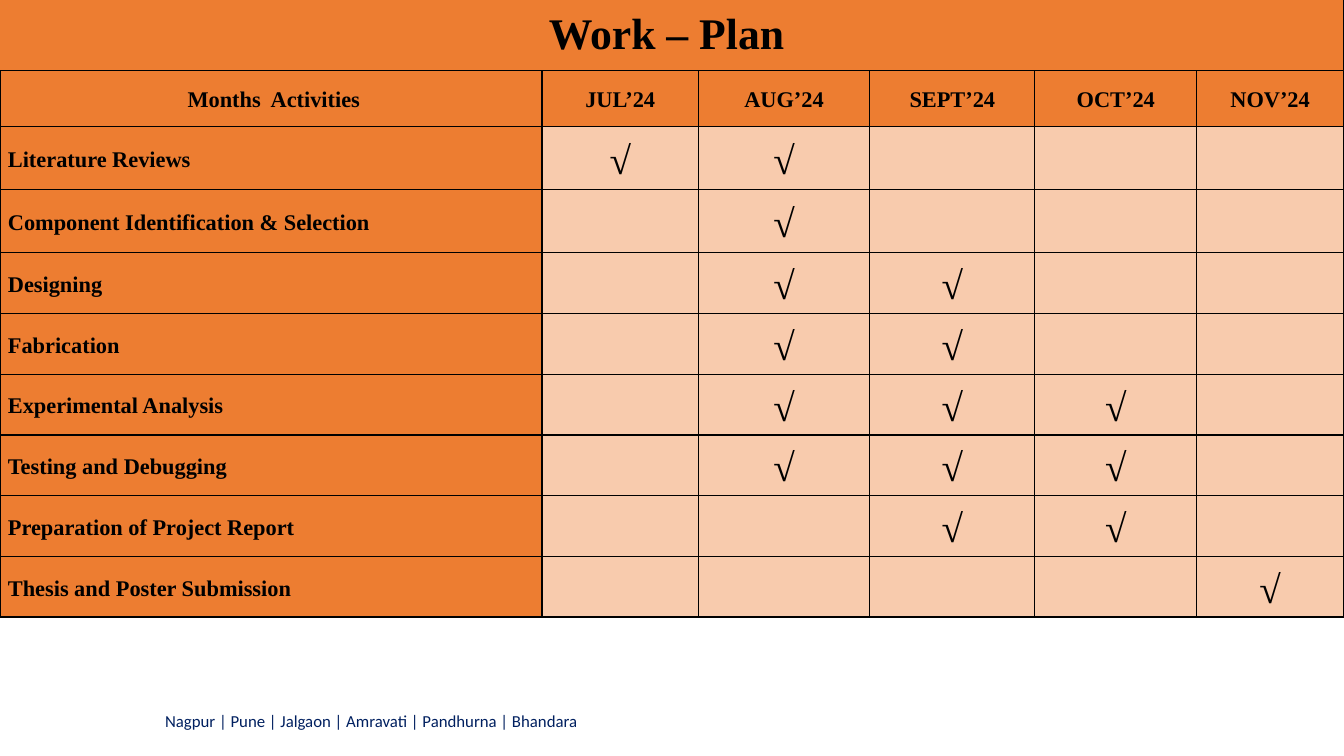
from lxml.etree import SubElement
from pptx import Presentation
from pptx.dml.color import RGBColor
from pptx.enum.shapes import MSO_SHAPE
from pptx.enum.text import MSO_ANCHOR, PP_ALIGN
from pptx.oxml.ns import qn
from pptx.util import Cm, Pt

TITLE = "Work – Plan "
FOOTER = "Nagpur | Pune | Jalgaon | Amravati | Pandhurna | Bhandara "
HEADER = [" Months  Activities", "JUL’24", "AUG’24", "SEPT’24", "OCT’24", "NOV’24"]
TICK = "√"
ACTIVITIES = [
    ("Literature Reviews", (1, 2)),
    ("Component Identification & Selection", (2,)),
    ("Designing", (2, 3)),
    ("Fabrication", (2, 3)),
    ("Experimental Analysis", (2, 3, 4)),
    ("Testing and Debugging", (2, 3, 4)),
    ("Preparation of Project Report", (3, 4)),
    ("Thesis and Poster Submission", (5,)),
]
COLORS = {"orange": "ED7D31", "peach": "F8CBAD", "black": "000000", "navy": "002060"}
SERIF, SANS = "Times New Roman", "Calibri"
COL_WIDTHS = [13.66, 3.94, 4.32, 4.16, 4.08, 3.7]
ROW_HEIGHTS = [1.4, 1.6, 1.59] + [1.53] * 6
SLIDE_W, SLIDE_H, TITLE_H = 33.87, 19.05, 1.78


def rgb(name):
    """Return a named colour."""
    return RGBColor.from_string(COLORS[name])


def write(tf, text, size, font=SERIF, color="black", bold=True, align=PP_ALIGN.CENTER, spacing=None):
    """Write one styled run into the first paragraph."""
    p = tf.paragraphs[0]
    p.alignment = align
    p.line_spacing = spacing
    r = p.add_run()
    r.text = text
    r.font.size, r.font.name, r.font.bold = Pt(size), font, bold
    r.font.color.rgb = rgb(color)


def style_cell(cell, color):
    """Give a cell black borders, a fill, margins and centred anchoring."""
    cell.vertical_anchor = MSO_ANCHOR.MIDDLE
    cell.margin_left = cell.margin_right = Cm(0.2)
    cell.margin_top = cell.margin_bottom = 0
    tc_pr = cell._tc.get_or_add_tcPr()
    for side in ("lnL", "lnR", "lnT", "lnB"):
        ln = SubElement(tc_pr, qn(f"a:{side}"), w=str(Pt(1)))
        fill = SubElement(ln, qn("a:solidFill"))
        SubElement(fill, qn("a:srgbClr"), val=COLORS["black"])
    cell.fill.solid()
    cell.fill.fore_color.rgb = rgb(color)


def add_plan(s):
    """Add the table of activities by month."""
    rows = [HEADER] + [
        [name] + [TICK if m in months else "" for m in range(1, len(HEADER))]
        for name, months in ACTIVITIES
    ]
    table = s.shapes.add_table(
        len(rows), len(HEADER), 0, Cm(TITLE_H), Cm(sum(COL_WIDTHS)), Cm(sum(ROW_HEIGHTS))
    ).table
    for col, width in zip(table.columns, COL_WIDTHS):
        col.width = Cm(width)
    for row, height in zip(table.rows, ROW_HEIGHTS):
        row.height = Cm(height)
    for i, texts in enumerate(rows):
        for j, text in enumerate(texts):
            cell = table.cell(i, j)
            style_cell(cell, "orange" if i == 0 or j == 0 else "peach")
            if text:
                align = PP_ALIGN.LEFT if i and j == 0 else PP_ALIGN.CENTER
                write(cell.text_frame, text, 28 if text == TICK else 16, align=align, spacing=1.15)


def add_title(s):
    """Add the title bar."""
    sp = s.shapes.add_shape(MSO_SHAPE.RECTANGLE, 0, 0, Cm(SLIDE_W), Cm(TITLE_H))
    sp.shadow.inherit = False
    sp.fill.solid()
    sp.fill.fore_color.rgb = rgb("orange")
    sp.line.color.rgb = rgb("black")
    sp.line.width = Pt(0.75)
    sp.text_frame.vertical_anchor = MSO_ANCHOR.MIDDLE
    write(sp.text_frame, TITLE, 31.2, spacing=0.9)


def add_footer(s):
    """Add the line of city names."""
    tf = s.shapes.add_textbox(Cm(-3.8), Cm(17.27), Cm(26.42), Cm(TITLE_H)).text_frame
    tf.word_wrap = True
    tf.vertical_anchor = MSO_ANCHOR.MIDDLE
    write(tf, FOOTER, 12, SANS, "navy", False)


def main():
    """Build the work plan slide."""
    prs = Presentation()
    prs.slide_width, prs.slide_height = Cm(SLIDE_W), Cm(SLIDE_H)
    s = prs.slides.add_slide(prs.slide_layouts[6])
    add_plan(s)
    add_title(s)
    add_footer(s)
    prs.save("out.pptx")


if __name__ == "__main__":
    main()
